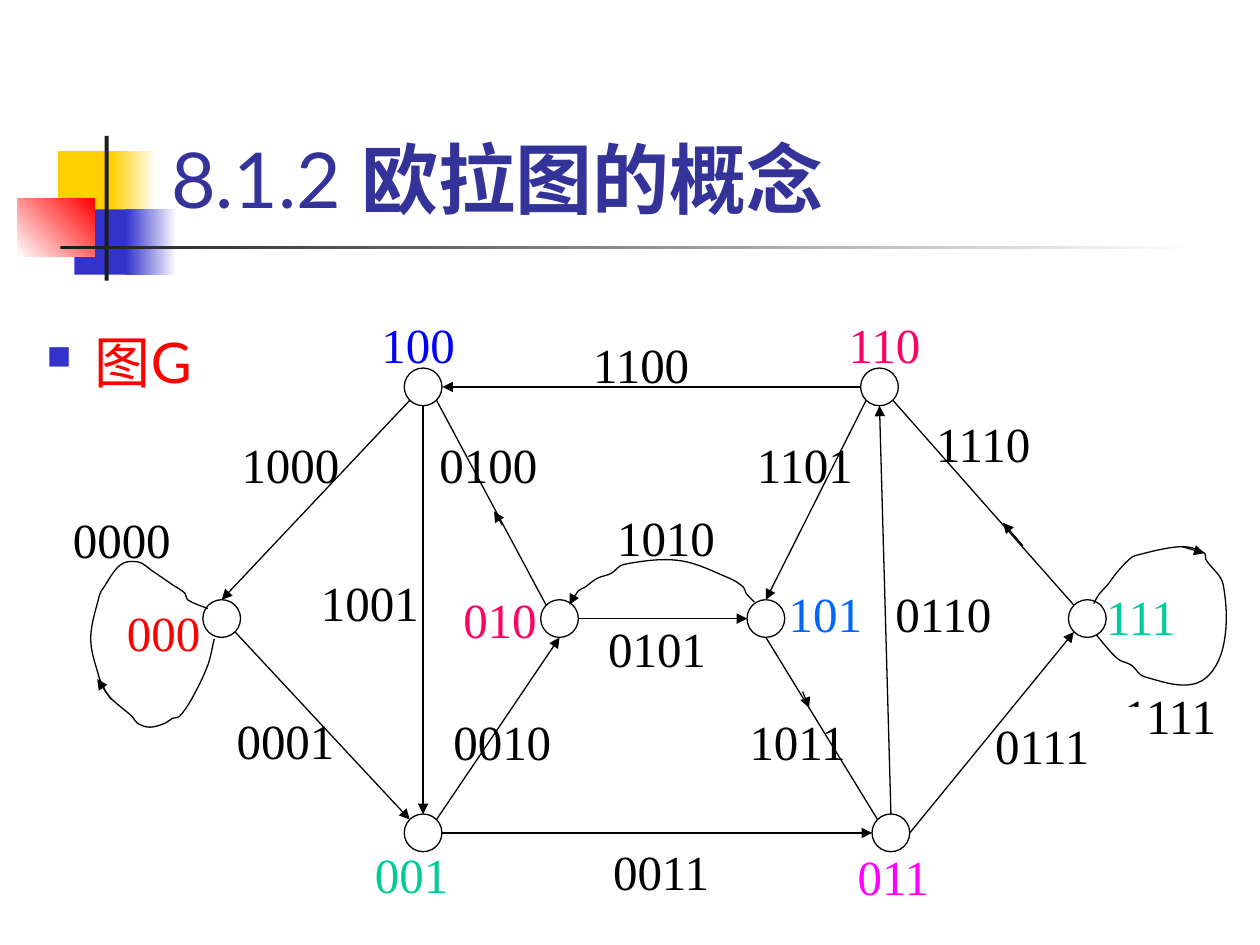
"""Build the slide on Euler graphs: a de Bruijn graph G with labelled arcs."""
from math import cos, dist, radians, sin
from lxml.etree import SubElement as Sub
from pptx import Presentation
from pptx.dml.color import RGBColor as Rgb
from pptx.enum.shapes import MSO_CONNECTOR as Con, MSO_SHAPE as Kind
from pptx.enum.text import MSO_ANCHOR as Anchor, PP_ALIGN as Align
from pptx.oxml.ns import qn
from pptx.util import Cm, Pt

HUES = {
    "white": "FFFFFF", "black": "000000", "dark": "1C1C1C", "gold": "FFCF01",
    "navy": "3333CC", "title": "333399", "red": "FF0000", "blue": "0000FF",
    "sky": "0066FF", "pink": "FF0066", "green": "00CC99", "violet": "FF00FF",
}
DECOR = [
    ((0.46, 1.2, 0.48, 0.52), "gold", None, 0),
    ((0.88, 1.2, 0.36, 0.52), "gold", "white", 0),
    ((0.59, 1.66, 0.46, 0.52), "navy", None, 0),
    ((1, 1.66, 0.4, 0.52), "navy", "white", 0),
    ((0.14, 1.58, 0.61, 0.46), "white", "red", 45),
    ((0.83, 1.08, 0.03, 1.15), "dark", None, 0),
    ((0.48, 1.95, 9, 0.03), "dark", "white", 0),
]
TITLE = [("8.1.2 ", False), ("欧拉图的概念", True)]
ARCS = [
    ("1111", 8.8, 5.38, 1.14), ("0000", 0.46, 3.99, 1.33),
    ("1001", 2.43, 4.49, 1.33), ("0001", 1.76, 5.58, 1.33),
    ("1000", 1.8, 3.39, 1.33), ("0111", 7.78, 5.62, 1.33),
    ("1110", 7.31, 3.22, 1.33), ("0010", 3.48, 5.59, 1.33),
    ("0100", 3.37, 3.39, 1.33), ("0110", 6.99, 4.57, 1.33),
    ("1011", 5.83, 5.59, 1.33), ("1101", 5.89, 3.39, 1.33),
    ("1010", 4.78, 3.97, 1.26), ("0101", 4.71, 4.85, 1.33),
    ("0011", 4.75, 6.62, 1.33), ("1100", 4.59, 2.6, 1.34),
]
NAMES = [
    ("001", 2.86, 6.64, 1.01, "green"), ("011", 6.69, 6.66, 1.01, "violet"),
    ("010", 3.56, 4.62, 1.01, "pink"), ("101", 6.14, 4.57, 0.92, "sky"),
    ("111", 8.66, 4.6, 1.01, "green"), ("000", 0.89, 4.72, 1.01, "red"),
    ("100", 2.91, 2.44, 1.01, "blue"), ("110", 6.62, 2.44, 1.01, "pink"),
]
NODES = {
    "000": (1.76, 4.91), "100": (3.36, 3.07), "110": (6.98, 3.07),
    "001": (3.36, 6.61), "010": (4.44, 4.91), "101": (6.08, 4.91),
    "011": (7.07, 6.61), "111": (8.63, 4.91),
}
SIDES = ["E", "SE", "S", "SW", "W", "NW", "N", "NE"]
EDGES = [
    ("011", "N", "110", "S", True), ("100", "S", "001", "N", True),
    ("001", "E", "011", "W", True), ("110", "W", "100", "E", True),
    ("100", "SW", "000", "N", True), ("011", "E", "111", "SW", True),
    ("010", "NW", "100", "SE", False), ("001", "NE", "010", "S", True),
    ("000", "SE", "001", "NW", True), ("110", "SW", "101", "N", True),
    ("101", "S", "011", "NW", False), ("111", "NW", "110", "SE", False),
    ("010", "E", "101", "W", True),
]
TIPS = [
    ((3.99, 4.17), (3.92, 4.06)), ((6.37, 5.49), (6.42, 5.62)),
    ((9.38, 4.34), (9.56, 4.39)), ((0.88, 5.55), (0.77, 5.39)),
    ((8.12, 4.33), (7.96, 4.15)),
]
CURVES = [
    ([(5.99, 4.78), (5.92, 4.71), (5.9, 4.66), (5.79, 4.59), (5.39, 4.45),
      (4.95, 4.48), (4.85, 4.55), (4.74, 4.59), (4.64, 4.66), (4.59, 4.69),
      (4.55, 4.75), (4.5, 4.78), (4.52, 4.8)], True),
    ([(8.7, 5.04), (8.87, 5.23), (8.98, 5.28), (9.08, 5.37), (9.5, 5.42),
      (9.7, 5.16), (9.71, 4.64), (9.57, 4.44), (9.56, 4.39), (9.38, 4.34),
      (9.01, 4.41), (8.96, 4.44), (8.86, 4.55), (8.79, 4.64), (8.72, 4.72),
      (8.68, 4.79)], False),
    ([(1.65, 4.83), (1.49, 4.76), (1.47, 4.71), (1.37, 4.64), (1.21, 4.53),
      (1.1, 4.46), (0.96, 4.48), (0.82, 4.67), (0.79, 4.72), (0.72, 5.07),
      (0.79, 5.39), (0.82, 5.44), (0.84, 5.49), (0.89, 5.55), (1.05, 5.69),
      (1.09, 5.74), (1.19, 5.77), (1.31, 5.74), (1.37, 5.7), (1.42, 5.69),
      (1.52, 5.55), (1.65, 5.28), (1.7, 5.07)], False),
]


def inch(val):
    return Cm(round(val * 2.54, 2))


def hue(name):
    return Rgb.from_string(HUES[name])


def shape(page, kind, box, fill, edge=None):
    item = page.shapes.add_shape(kind, *map(inch, box))
    item.shadow.inherit = False
    item.fill.solid()
    item.fill.fore_color.rgb = hue(fill)
    if edge:
        ink(item, edge)
    else:
        item.line.fill.background()
    return item


def ink(item, name="black", tip=False):
    item.line.color.rgb = hue(name)
    item.line.width = Pt(0.75)
    if tip:
        Sub(item.line._get_or_add_ln(), qn("a:tailEnd"), type="triangle")


def write(para, text, size, face, name, bold=False):
    run = para.add_run()
    run.text = text
    font = run.font
    font.size, font.name, font.bold = Pt(size), face, bold
    font.color.rgb = hue(name)


def label(page, text, left, top, wide, name="black"):
    item = shape(page, Kind.RECTANGLE, (left, top, wide, 0.76), "white", "white")
    frame = item.text_frame
    frame.word_wrap = True
    frame.vertical_anchor = Anchor.TOP
    frame.margin_left = frame.margin_right = inch(0.12)
    frame.margin_top = frame.margin_bottom = inch(0.06)
    para = frame.paragraphs[0]
    para.alignment = Align.LEFT
    write(para, text, 28, "Times New Roman", name)


def line(page, start, end, tip):
    item = page.shapes.add_connector(Con.STRAIGHT, *map(inch, start + end))
    ink(item, tip=tip)
    Sub(item._element.spPr, qn("a:effectLst"))


def port(node, side):
    turn = radians(45 * SIDES.index(side))
    x, y = NODES[node]
    return x + 0.15 * cos(turn), y + 0.15 * sin(turn)


def bend(item):
    dots = [(int(pt.get("x")), int(pt.get("y"))) for pt in item._element.iter(qn("a:pt"))]
    ends = [dots[0], *dots, dots[-1]]
    legs = list(item._element.iter(qn("a:lnTo")))
    for leg, a, b, c, d in zip(legs, ends, ends[1:], ends[2:], ends[3:]):
        leg.tag = qn("a:cubicBezTo")
        span = dist(b, c) / 3
        grips = [(b, a, c, span / dist(a, c)), (c, d, b, span / dist(b, d))]
        for spot, (base, back, front, rate) in enumerate(grips):
            x, y = (round(p + (r - q) * rate) for p, q, r in zip(base, back, front))
            leg.insert(spot, Sub(leg, qn("a:pt"), x=str(x), y=str(y)))


def curve(page, knots, tip):
    dots = [tuple(map(inch, dot)) for dot in knots]
    path = page.shapes.build_freeform(*dots[0])
    path.add_line_segments(dots[1:], close=False)
    item = path.convert_to_shape()
    bend(item)
    item.shadow.inherit = False
    item.fill.background()
    ink(item, tip=tip)


def text(page, box, anchor):
    frame = page.shapes.add_textbox(*map(inch, box)).text_frame
    frame.word_wrap = True
    frame.vertical_anchor = anchor
    return frame.paragraphs[0]


def main():
    deck = Presentation()
    deck.slide_width, deck.slide_height = inch(10), inch(7.5)
    page = deck.slides.add_slide(deck.slide_layouts[6])
    for box, first, last, angle in DECOR:
        item = shape(page, Kind.RECTANGLE, box, first)
        if last:
            item.fill.gradient()
            item.fill.gradient_angle = angle
            for stop, name in zip(item.fill.gradient_stops, (first, last)):
                stop.color.rgb = hue(name)
    para = text(page, (1.26, 0.23, 8.52, 1.6), Anchor.BOTTOM)
    for part, bold in TITLE:
        write(para, part, 44, "Lato", "title", bold)
    para = text(page, (0.27, 2.02, 9.73, 5.48), Anchor.TOP)
    props = para._p.get_or_add_pPr()
    props.set("marL", str(inch(0.38)))
    props.set("indent", str(-inch(0.38)))
    Sub(Sub(props, qn("a:buClr")), qn("a:srgbClr"), val=HUES["navy"])
    Sub(props, qn("a:buSzPct"), val="60000")
    Sub(props, qn("a:buFont"), typeface="Wingdings")
    Sub(props, qn("a:buChar"), char="n")
    para.line_spacing = 2.0
    write(para, "图G", 32, "Lato", "red")
    for row in ARCS + NAMES:
        label(page, *row)
    for x, y in NODES.values():
        shape(page, Kind.OVAL, (x - 0.15, y - 0.15, 0.3, 0.3), "white", "black")
    for tail, out, head, into, tip in EDGES:
        line(page, port(tail, out), port(head, into), tip)
    for start, end in TIPS:
        line(page, start, end, True)
    for knots, tip in CURVES:
        curve(page, knots, tip)
    deck.save("out.pptx")


if __name__ == "__main__":
    main()
